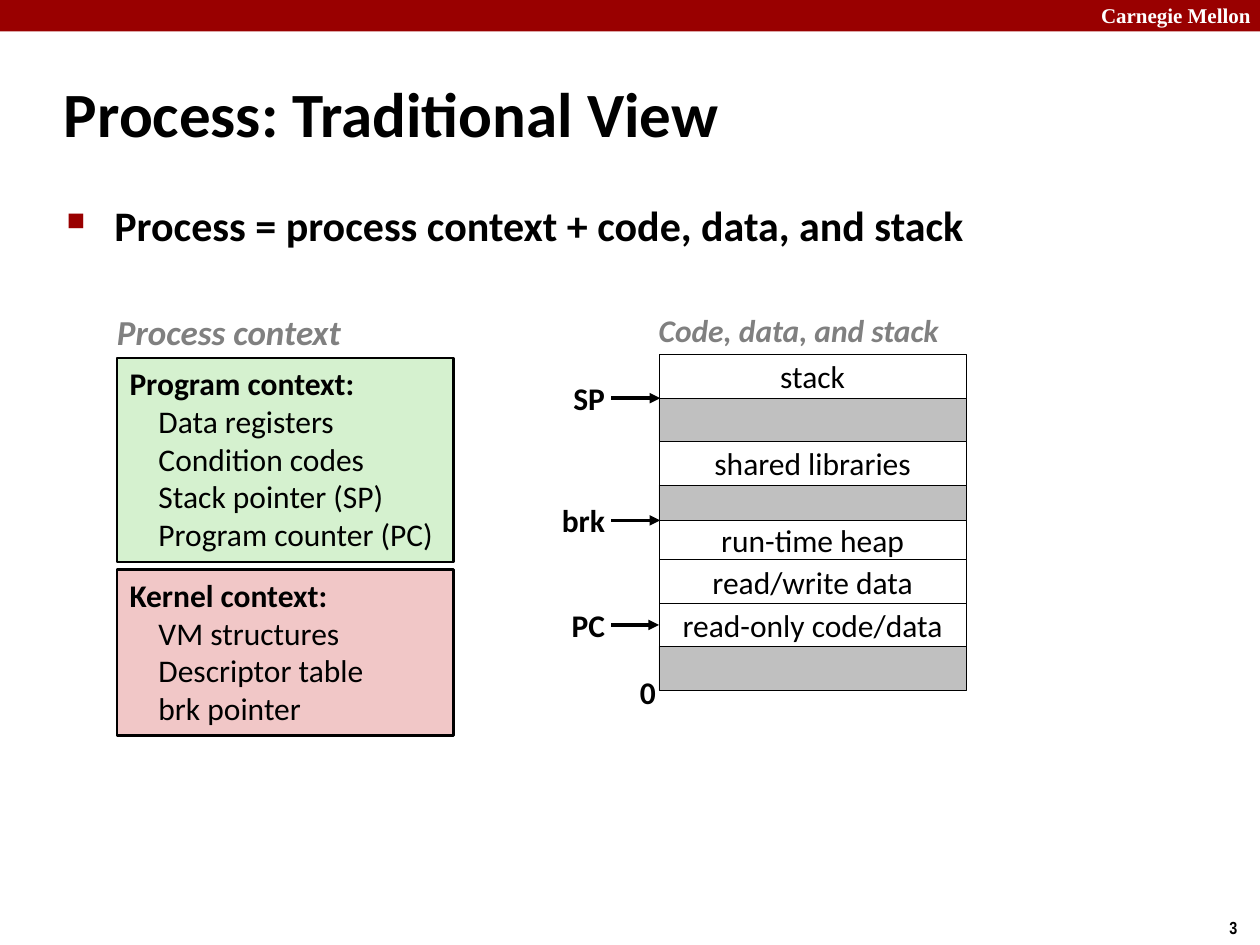
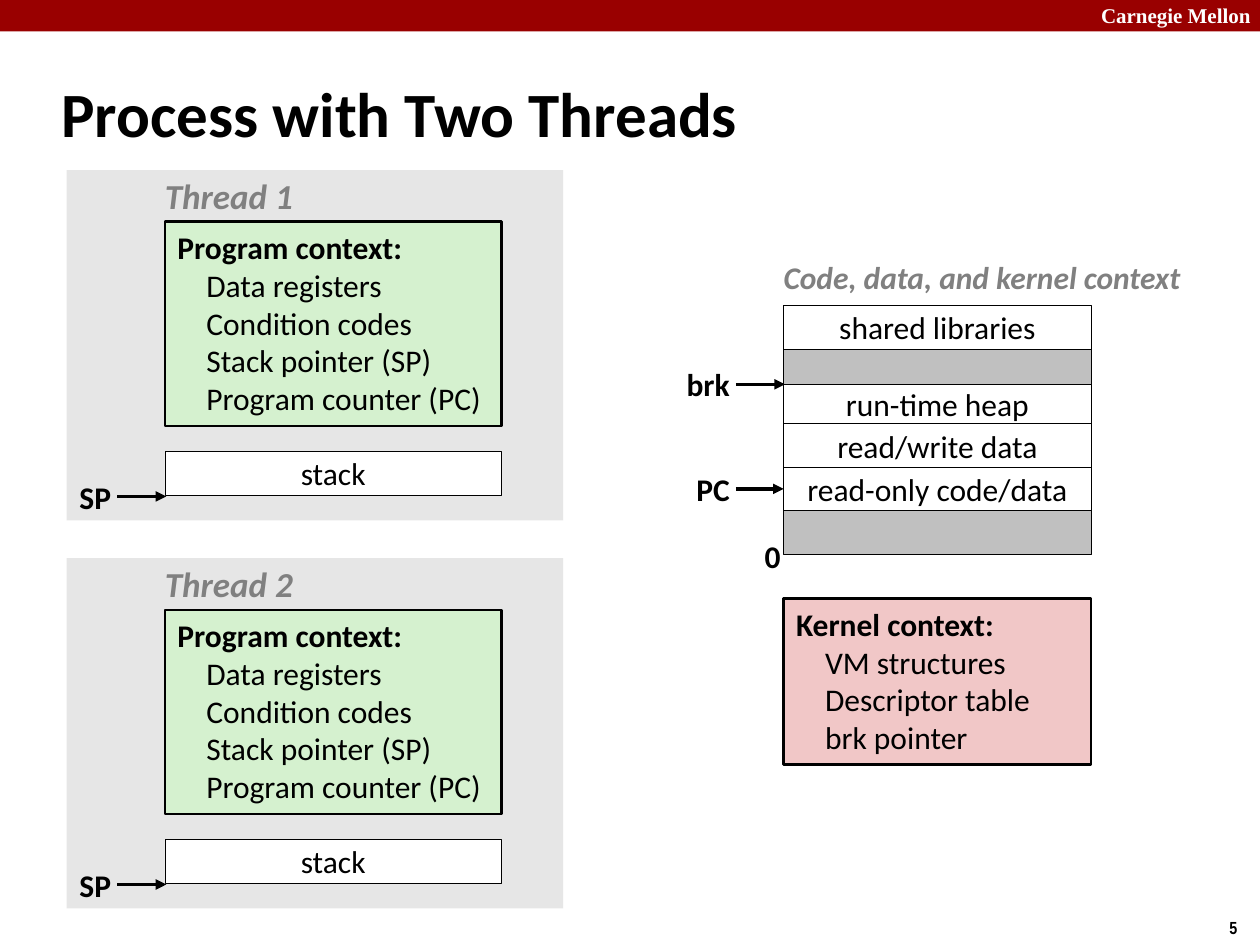
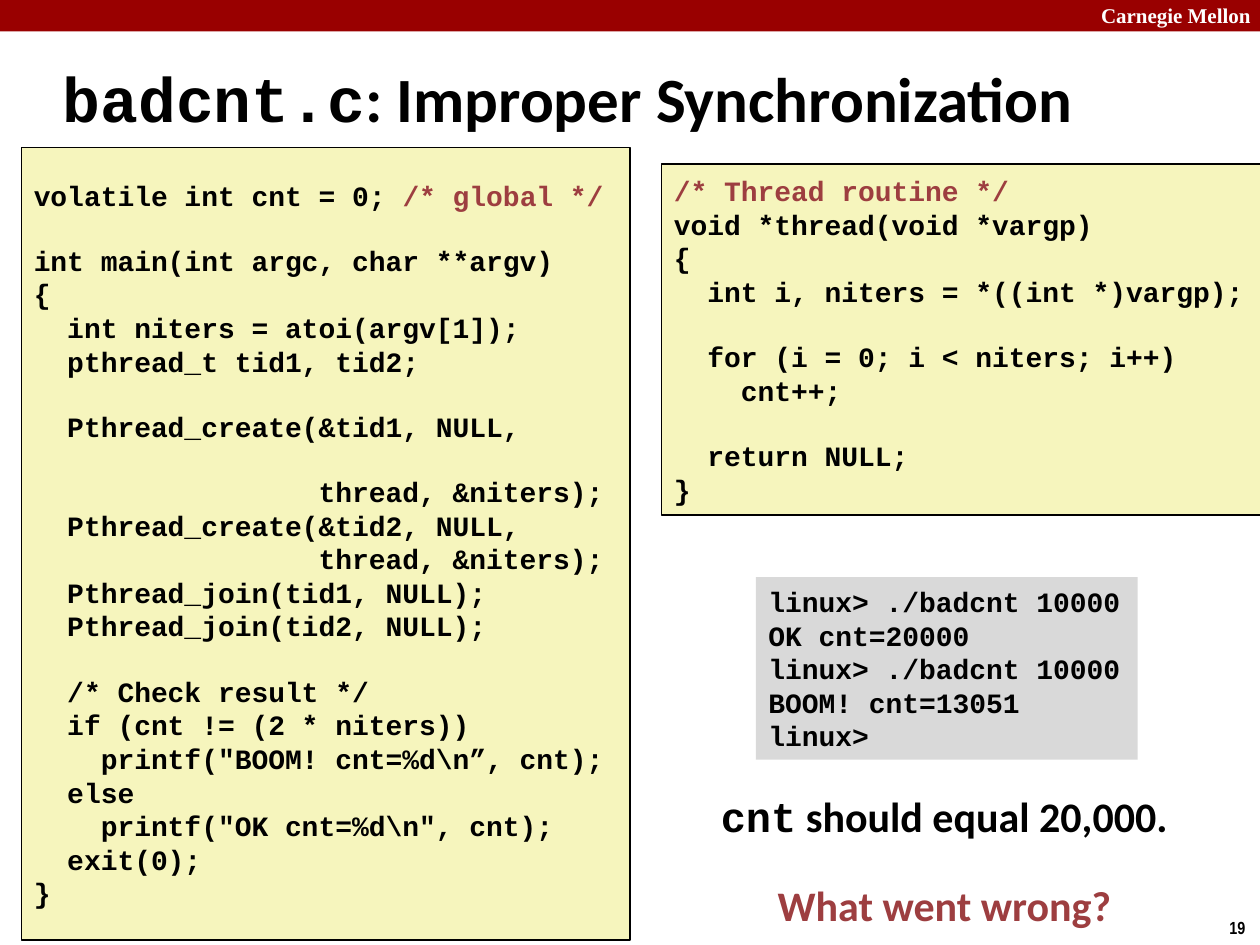
from dataclasses import dataclass

from lxml.etree import SubElement
from pptx import Presentation
from pptx.dml.color import RGBColor
from pptx.enum.shapes import MSO_CONNECTOR, MSO_SHAPE
from pptx.enum.text import MSO_ANCHOR, PP_ALIGN
from pptx.oxml.ns import qn
from pptx.util import Inches, Pt


@dataclass(frozen=True)
class Theme:
    black: str = "000000"
    white: str = "FFFFFF"
    red: str = "990000"
    accent: str = "9D3E40"
    heading: str = "808080"
    unused: str = "C0C0C0"
    panel: str = "E6E6E6"
    terminal: str = "D9D9D9"
    program: str = "D5F1CF"
    kernel: str = "F1C7C7"
    code: str = "F6F5BD"
    sans: str = "Calibri"
    mono: str = "Courier New"
    serif: str = "Times New Roman"
    narrow: str = "Arial Narrow"
    title_size: int = 36
    body_size: int = 24
    heading_size: int = 20
    label_size: int = 18
    code_size: int = 16
    header_size: int = 12
    number_size: int = 10


THEME = Theme()

PROGRAM_CONTEXT = ["Program context:", "Data registers", "Condition codes",
                   "Stack pointer (SP)", "Program counter (PC)"]
KERNEL_CONTEXT = ["Kernel context:", "VM structures", "Descriptor table", "brk pointer"]
STACK_ROWS = [("stack", 0.35), ("", 0.34)]
SHARED_ROWS = [("shared libraries", 0.35), ("", 0.28), ("run-time heap", 0.31),
               ("read/write data", 0.35), ("read-only code/data", 0.34), ("", 0.35)]
THREADS = ["Thread 1", "Thread 2"]

MAIN_CODE = [
    ["volatile int cnt = 0; ", ("/* global */", {"color": THEME.accent})],
    *r"""
int main(int argc, char **argv)
{
  int niters = atoi(argv[1]);
  pthread_t tid1, tid2;

  Pthread_create(&tid1, NULL,

                 thread, &niters);
  Pthread_create(&tid2, NULL,
                 thread, &niters);
  Pthread_join(tid1, NULL);
  Pthread_join(tid2, NULL);

  /* Check result */
  if (cnt != (2 * niters))
    printf("BOOM! cnt=%d\n”, cnt);
  else
    printf("OK cnt=%d\n", cnt);
  exit(0);
}""".split("\n"),
]
THREAD_CODE = [
    [("/* Thread routine */", {"color": THEME.accent})],
    *"""void *thread(void *vargp)
{
  int i, niters = *((int *)vargp);

  for (i = 0; i < niters; i++)
    cnt++;

  return NULL;
}""".split("\n"),
]
TERMINAL = ["linux> ./badcnt 10000", "OK cnt=20000", "linux> ./badcnt 10000",
            "BOOM! cnt=13051", "linux>"]
QUESTION = [
    [("cnt", {"font": THEME.mono}), " should equal 20,000."],
    "",
    [("What went wrong?", {"color": THEME.accent})],
]


def write_text(shape, lines, size=THEME.label_size, font=THEME.sans, color=THEME.black,
               bold=False, italic=False, align=PP_ALIGN.LEFT, anchor=MSO_ANCHOR.MIDDLE,
               wrap=True, gap=18.1):
    frame = shape.text_frame
    frame.word_wrap = wrap
    frame.vertical_anchor = anchor
    lines = [lines] if isinstance(lines, str) else lines
    space, paragraph = 0, None
    for line in lines:
        if not line:
            space += gap
            continue
        paragraph = frame.add_paragraph() if paragraph else frame.paragraphs[0]
        paragraph.alignment = align
        if space:
            paragraph.space_before = Pt(space)
            space = 0
        for piece in [line] if isinstance(line, str) else line:
            text, changes = (piece, {}) if isinstance(piece, str) else piece
            run = paragraph.add_run()
            run.text = text
            run.font.size = Pt(size)
            run.font.name = changes.get("font", font)
            run.font.bold = bold
            run.font.italic = italic
            run.font.color.rgb = RGBColor.from_string(changes.get("color", color))
    return shape


def add_text(slide, lines, left, top, width, height, **text_format):
    box = slide.shapes.add_textbox(Inches(left), Inches(top), Inches(width), Inches(height))
    return write_text(box, lines, **text_format)


def add_box(slide, left, top, width, height, fill, line_width=None):
    box = slide.shapes.add_shape(MSO_SHAPE.RECTANGLE, Inches(left), Inches(top),
                                 Inches(width), Inches(height))
    box.shadow.inherit = False
    box.fill.solid()
    box.fill.fore_color.rgb = RGBColor.from_string(fill)
    if line_width:
        box.line.color.rgb = RGBColor.from_string(THEME.black)
        box.line.width = Pt(line_width)
    else:
        box.line.fill.background()
    return box


def set_indent(paragraph, left, first=0):
    properties = paragraph._p.get_or_add_pPr()
    properties.set("marL", str(Inches(left)))
    properties.set("indent", str(Inches(first)))
    return properties


def add_bullet(paragraph):
    properties = set_indent(paragraph, 0.38, -0.38)
    color = SubElement(properties, qn("a:buClr"))
    SubElement(color, qn("a:srgbClr"), val=THEME.red)
    SubElement(properties, qn("a:buSzPct"), val="60000")
    SubElement(properties, qn("a:buChar"), char="■")


def add_slide(presentation, number, title, left, top, width, height):
    slide = presentation.slides.add_slide(presentation.slide_layouts[6])
    add_box(slide, 0, 0, 10, 0.25, THEME.red)
    add_text(slide, "Carnegie Mellon", 8.64, -0.03, 1.43, 0.3, size=THEME.header_size,
             font=THEME.serif, color=THEME.white, bold=True, anchor=MSO_ANCHOR.TOP)
    add_text(slide, number, 9.66, 7.23, 0.34, 0.27, size=THEME.number_size,
             font=THEME.narrow, bold=True, anchor=MSO_ANCHOR.TOP, wrap=False)
    add_text(slide, title, left, top, width, height, size=THEME.title_size, bold=True)
    return slide


def add_heading(slide, text, left, top, width, size=THEME.heading_size):
    add_text(slide, text, left - 0.1, top, width, 0.42, size=size, color=THEME.heading,
             bold=True, italic=True, wrap=False)


def add_context(slide, lines, left, top, width, fill):
    height = 0.1 + 0.304 * len(lines)
    box = add_box(slide, left, top, width, height, fill, 1.5)
    write_text(box, lines, anchor=MSO_ANCHOR.TOP)
    heading, *entries = box.text_frame.paragraphs
    heading.runs[0].font.bold = True
    for paragraph in entries:
        set_indent(paragraph, 0.23)


def add_region(slide, text, left, top, width, height):
    region = add_box(slide, left, top, width, height,
                     THEME.white if text else THEME.unused, 0.25)
    if text:
        write_text(region, text, align=PP_ALIGN.CENTER, wrap=False)
    return region


def add_pointer(slide, text, left, y, target=None):
    add_text(slide, text, left - 1.03, y - 0.2, 0.7, 0.4, bold=True, align=PP_ALIGN.RIGHT)
    arrow = slide.shapes.add_connector(MSO_CONNECTOR.STRAIGHT, Inches(left - 0.38), Inches(y),
                                       Inches(left + 0.01), Inches(y))
    if target:
        arrow.end_connect(target, 1)
        arrow.begin_y = arrow.end_y
    arrow.line.color.rgb = RGBColor.from_string(THEME.black)
    arrow.line.width = Pt(2)
    SubElement(arrow.line._get_or_add_ln(), qn("a:tailEnd"), type="triangle")
    SubElement(arrow._element.spPr, qn("a:effectLst"))


def add_memory(slide, rows, left, top):
    regions, tops = {}, {}
    for text, height in rows:
        region = add_region(slide, text, left, top, 2.44, height)
        if text:
            regions[text], tops[text] = region, top
        top += height
    add_text(slide, "0", left - 0.25, top - 0.19, 0.33, 0.4, bold=True,
             anchor=MSO_ANCHOR.TOP, wrap=False)
    if "stack" in tops:
        add_pointer(slide, "SP", left, tops["stack"] + 0.35)
    add_pointer(slide, "brk", left, tops["run-time heap"])
    add_pointer(slide, "PC", left, tops["read-only code/data"] + 0.17,
                regions["read-only code/data"])


def add_thread(slide, name, top):
    left, width = 1.31, 2.67
    add_box(slide, 0.53, top, 3.94, 2.78, THEME.panel)
    add_heading(slide, name, left, top - 0.01, 1.22)
    add_context(slide, PROGRAM_CONTEXT, left, top + 0.41, width, THEME.program)
    add_region(slide, "stack", left, top + 2.23, width, 0.35)
    add_pointer(slide, "SP", left, top + 2.59)


def build_traditional_view(presentation):
    slide = add_slide(presentation, "3", "Process: Traditional View", 0.41, 0.48, 8.3, 0.83)
    body = add_text(slide, "Process = process context + code, data, and stack",
                    0.43, 1.49, 8.64, 0.59, size=THEME.body_size, bold=True)
    add_bullet(body.text_frame.paragraphs[0])
    add_heading(slide, "Process context", 0.93, 2.42, 1.99)
    add_context(slide, PROGRAM_CONTEXT, 0.93, 2.84, 2.67, THEME.program)
    add_context(slide, KERNEL_CONTEXT, 0.93, 4.52, 2.67, THEME.kernel)
    add_heading(slide, "Code, data, and stack", 5.23, 2.41, 2.43, size=THEME.label_size)
    add_memory(slide, STACK_ROWS + SHARED_ROWS, 5.23, 2.81)


def build_two_threads(presentation):
    slide = add_slide(presentation, "5", "Process with Two Threads", 0.39, 0.48, 8.3, 0.83)
    for index, name in enumerate(THREADS):
        add_thread(slide, name, 1.35 + 3.08 * index)
    add_heading(slide, "Code, data, and kernel context", 6.22, 1.99, 3.39,
                size=THEME.label_size)
    add_memory(slide, SHARED_ROWS, 6.22, 2.42)
    add_context(slide, KERNEL_CONTEXT, 6.22, 4.75, 2.44, THEME.kernel)


def build_bad_count(presentation):
    title = [[("badcnt.c", {"font": THEME.mono}), ": Improper Synchronization"]]
    slide = add_slide(presentation, "19", title, 0.4, 0.17, 9.6, 1.2)
    listings = [
        (MAIN_CODE, (0.17, 1.17, 4.83, 6.29), THEME.code, 1),
        (THREAD_CODE, (5.25, 1.3, 4.78, 2.79), THEME.code, 1),
        (TERMINAL, (6, 4.58, 3.03, 1.45), THEME.terminal, None),
    ]
    for lines, place, fill, line_width in listings:
        write_text(add_box(slide, *place, fill, line_width), lines,
                   size=THEME.code_size, font=THEME.mono, bold=True)
    add_text(slide, QUESTION, 5.58, 6.22, 3.83, 1.21, size=THEME.body_size, bold=True,
             align=PP_ALIGN.CENTER, gap=22)


def main():
    presentation = Presentation()
    presentation.slide_width = Inches(10)
    presentation.slide_height = Inches(7.5)
    build_traditional_view(presentation)
    build_two_threads(presentation)
    build_bad_count(presentation)
    presentation.save("out.pptx")


if __name__ == "__main__":
    main()
